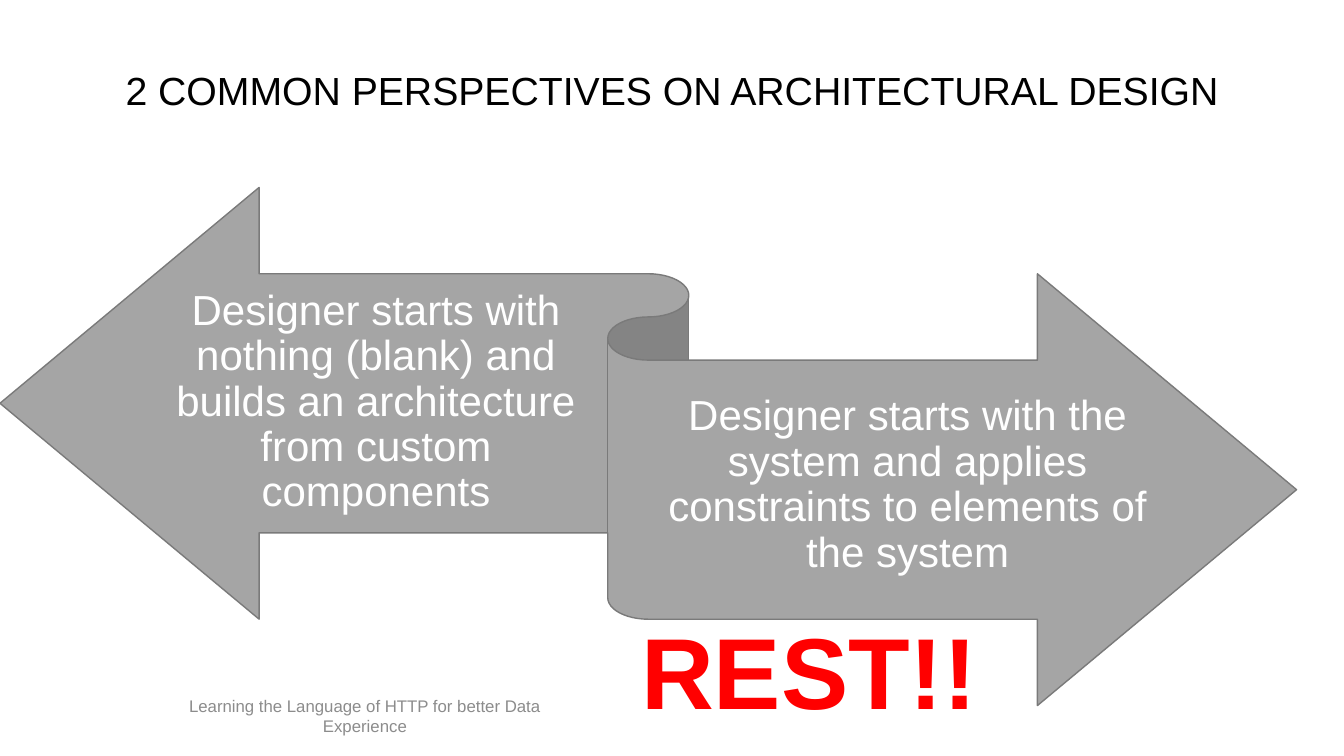
import pptx
import pptx.util
import pptx.dml.color
import pptx.enum.shapes
import pptx.enum.text
from dataclasses import dataclass

Inches = pptx.util.Inches
Align = pptx.enum.text.PP_ALIGN
Anchor = pptx.enum.text.MSO_ANCHOR


@dataclass(frozen=True)
class Theme:
    font: str = "Arial"
    ribbon: str = "A5A5A5"
    outline: str = "7A7A7A"
    on_ribbon: str = "FFFFFF"
    heading: str = "000000"
    accent: str = "FF0000"
    muted: str = "8C8C8C"
    title_size: int = 28
    body_size: int = 30
    shout_size: int = 72
    footer_size: int = 12


THEME = Theme()
SLIDE_WIDTH, SLIDE_HEIGHT = 13.33, 7.5


def color(value):
    return pptx.dml.color.RGBColor.from_string(value)


def add_text(slide, box, text, size, text_color, align=Align.CENTER,
             anchor=Anchor.MIDDLE, bold=False, spacing=None, insets=(0.1, 0.05)):
    shape = slide.shapes.add_textbox(*map(Inches, box))
    frame = shape.text_frame
    frame.word_wrap = True
    frame.vertical_anchor = anchor
    frame.margin_left = frame.margin_right = Inches(insets[0])
    frame.margin_top = frame.margin_bottom = Inches(insets[1])
    paragraph = frame.paragraphs[0]
    paragraph.alignment = align
    if spacing:
        paragraph.line_spacing = spacing
    run = paragraph.add_run()
    run.text = text
    run.font.name = THEME.font
    run.font.size = pptx.util.Pt(size)
    run.font.bold = bold
    run.font.color.rgb = color(text_color)


def add_title(slide, box):
    add_text(slide, box, "2 COMMON PERSPECTIVES ON ARCHITECTURAL DESIGN",
             THEME.title_size, THEME.heading, spacing=0.9)


def add_perspectives(slide, box):
    left, top, width, height = box
    ribbon = slide.shapes.add_shape(
        pptx.enum.shapes.MSO_SHAPE.LEFT_RIGHT_RIBBON, *map(Inches, box))
    ribbon.shadow.inherit = False
    ribbon.fill.solid()
    ribbon.fill.fore_color.rgb = color(THEME.ribbon)
    ribbon.line.color.rgb = color(THEME.outline)
    ribbon.line.width = pptx.util.Pt(1)

    perspectives = (
        (0.125, 0.17, 0.33, "Designer starts with nothing (blank) and builds "
                            "an architecture from custom components"),
        (0.505, 0.33, 0.39, "Designer starts with the system and applies "
                            "constraints to elements of the system"),
    )
    for x, y, share, text in perspectives:
        text_box = (left + x * width, top + y * height, share * width, 0.49 * height)
        add_text(slide, text_box, text, THEME.body_size, THEME.on_ribbon,
                 spacing=0.9, insets=(0, 0.12))


def add_shout(slide, box):
    add_text(slide, box, "REST!!", THEME.shout_size, THEME.accent,
             align=Align.LEFT, anchor=Anchor.TOP, bold=True)


def add_footer(slide, box):
    add_text(slide, box, "Learning the Language of HTTP for better Data Experience",
             THEME.footer_size, THEME.muted)


def main():
    presentation = pptx.Presentation()
    presentation.slide_width = Inches(SLIDE_WIDTH)
    presentation.slide_height = Inches(SLIDE_HEIGHT)
    slide = presentation.slides.add_slide(presentation.slide_layouts[6])
    add_perspectives(slide, (0, 1.86, 12.86, 5.14))
    add_title(slide, (0, 0.3, SLIDE_WIDTH, 1.25))
    add_shout(slide, (6.26, 5.99, 3.71, 1.31))
    add_footer(slide, (1.37, 6.9, 4.5, 0.4))
    presentation.save("out.pptx")


if __name__ == "__main__":
    main()
